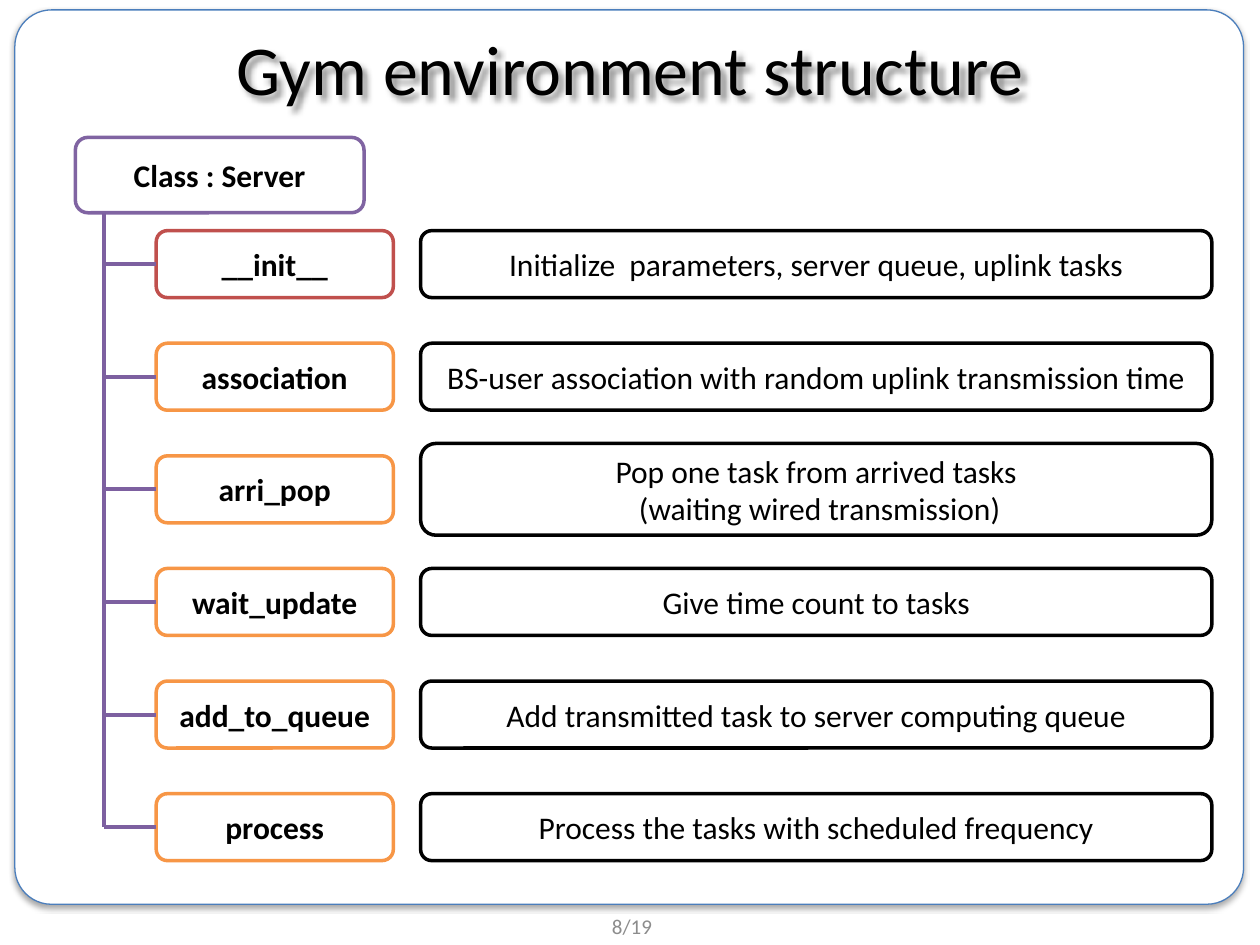
import dataclasses

import lxml.etree
import pptx
import pptx.dml.color
import pptx.enum.shapes
import pptx.enum.text
import pptx.oxml.ns
import pptx.slide
import pptx.util

Cm = pptx.util.Cm
Pt = pptx.util.Pt
qn = pptx.oxml.ns.qn

BLACK, WHITE, GREY = "000000", "FFFFFF", "8C8C8C"
BLUE, PURPLE, LINE_PURPLE = "4B7EBC", "8064A2", "7D60A0"
RED, ORANGE = "C0504D", "F79646"

METHODS = [
    ("__init__", ["Initialize  parameters, server queue, uplink tasks"]),
    ("association", ["BS-user association with random uplink transmission time"]),
    ("arri_pop", ["Pop one task from arrived tasks", " (waiting wired transmission)"]),
    ("wait_update", ["Give time count to tasks"]),
    ("add_to_queue", ["Add transmitted task to server computing queue"]),
    ("process", ["Process the tasks with scheduled frequency"]),
]


def color(value):
    return pptx.dml.color.RGBColor.from_string(value)


def write(shape, lines, size=18, ink=BLACK, bold=False, font="Calibri"):
    """Fill the shape with centred lines, one paragraph each."""
    frame = shape.text_frame
    frame.word_wrap = True
    frame.vertical_anchor = pptx.enum.text.MSO_ANCHOR.MIDDLE
    for index, line in enumerate(lines):
        para = frame.add_paragraph() if index else frame.paragraphs[0]
        para.alignment = pptx.enum.text.PP_ALIGN.CENTER
        span = para.add_run()
        span.text = line
        span.font.name = font
        span.font.size = Pt(size)
        span.font.bold = bold
        span.font.color.rgb = color(ink)


def cast_shadow(shape, opacity, blur, distance, angle):
    """Add an outer black shadow: percent, points, points, degrees."""
    shape.shadow.inherit = False
    effects = shape._element.spPr.find(qn("a:effectLst"))
    shadow = lxml.etree.SubElement(
        effects, qn("a:outerShdw"), blurRad=str(Pt(blur)), dist=str(Pt(distance)),
        dir=str(angle * 60000), algn="tl", rotWithShape="0")
    tone = lxml.etree.SubElement(shadow, qn("a:srgbClr"), val=BLACK)
    lxml.etree.SubElement(tone, qn("a:alpha"), val=str(opacity * 1000))


@dataclasses.dataclass
class Diagram:
    page: pptx.slide.Slide
    outline: float = 2
    branch_width: float = 2.25

    def box(self, left, top, width, height, line, weight=None):
        box = self.page.shapes.add_shape(
            pptx.enum.shapes.MSO_SHAPE.ROUNDED_RECTANGLE,
            Cm(left), Cm(top), Cm(width), Cm(height))
        box.fill.solid()
        box.fill.fore_color.rgb = color(WHITE)
        box.line.color.rgb = color(line)
        box.line.width = Pt(weight or self.outline)
        box.shadow.inherit = False
        return box

    def text(self, left, top, width, height, words, **style):
        box = self.page.shapes.add_textbox(Cm(left), Cm(top), Cm(width), Cm(height))
        write(box, [words], **style)
        return box

    def branch(self, x1, y1, x2, y2, target=None):
        """Draw a line, joined to the target's left side if there is one."""
        line = self.page.shapes.add_connector(
            pptx.enum.shapes.MSO_CONNECTOR.STRAIGHT, Cm(x1), Cm(y1), Cm(x2), Cm(y2))
        line.line.color.rgb = color(LINE_PURPLE)
        line.line.width = Pt(self.branch_width)
        lxml.etree.SubElement(line._element.spPr, qn("a:effectLst"))
        if target is not None:
            line.end_connect(target, 1)


def main():
    deck = pptx.Presentation()
    deck.slide_width, deck.slide_height = Cm(25.4), Cm(19.05)
    diagram = Diagram(deck.slides.add_slide(deck.slide_layouts[6]))

    panel = diagram.box(0.3, 0.2, 24.77, 18.03, BLUE, weight=0.75)
    panel.adjustments[0] = 0.041
    cast_shadow(panel, opacity=35, blur=3.1, distance=1.8, angle=90)
    diagram.text(9.78, 18.31, 5.92, 0.74, "8/19", size=12, ink=GREY)
    title = diagram.text(0.33, 0, 24.74, 2.74, "Gym environment structure", size=40)
    cast_shadow(title, opacity=43, blur=3, distance=3, angle=45)

    header = diagram.box(1.52, 2.77, 5.82, 1.52, PURPLE)
    write(header, ["Class : Server"], bold=True)

    trunk, header_bottom = 2.1, 4.29
    label_left, first_top, pitch, height = 3.15, 4.65, 2.27, 1.35
    for row, (method, description) in enumerate(METHODS):
        top = first_top + row * pitch
        middle = top + height / 2
        label = diagram.box(label_left, top, 4.78, height, ORANGE if row else RED)
        write(label, [method], bold=True)
        diagram.branch(trunk, middle, label_left, middle, target=label)

        detail_height = height + 0.5 * (len(description) - 1)
        detail = diagram.box(8.48, middle - detail_height / 2, 15.95, detail_height, BLACK)
        write(detail, description)
    diagram.branch(trunk, header_bottom, trunk, middle)

    deck.save("out.pptx")


if __name__ == "__main__":
    main()
